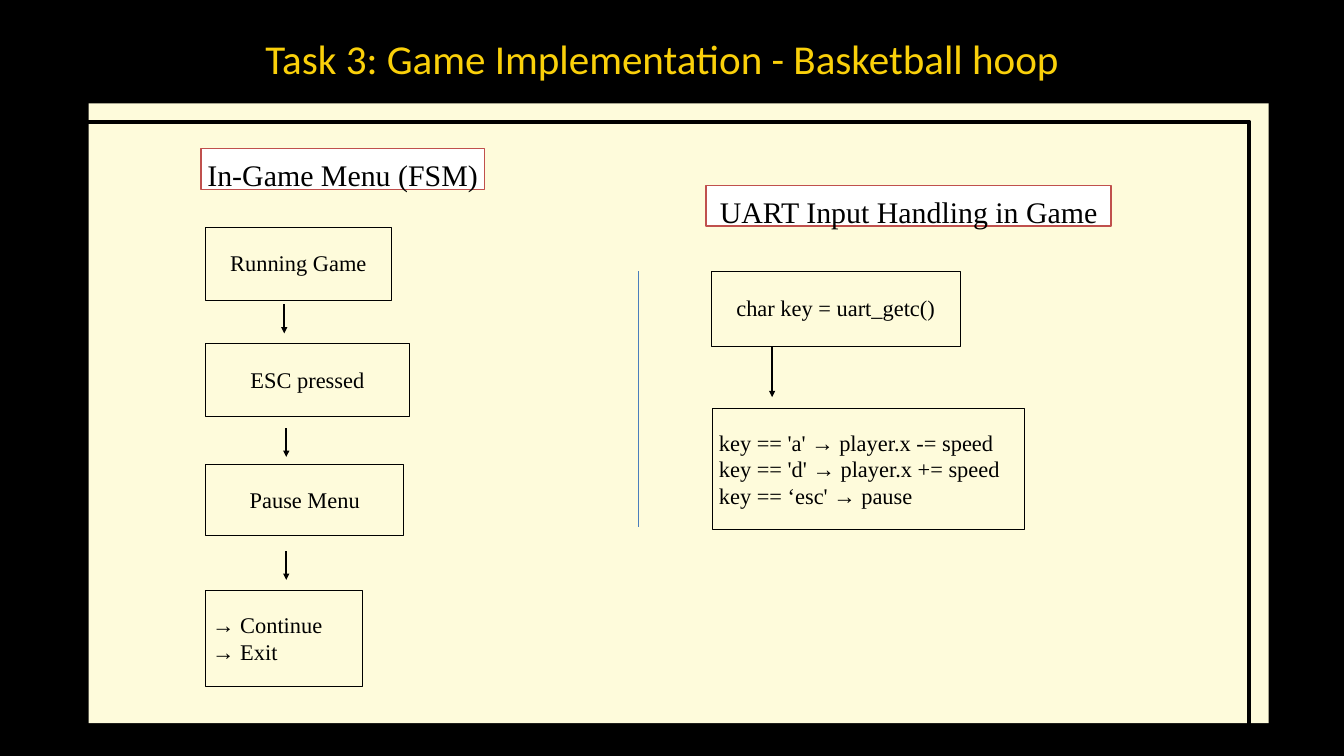
from lxml.etree import SubElement
from pptx import Presentation
from pptx.dml.color import RGBColor
from pptx.enum.shapes import MSO_CONNECTOR, MSO_SHAPE
from pptx.enum.text import MSO_ANCHOR, MSO_AUTO_SIZE, PP_ALIGN
from pptx.oxml.ns import qn
from pptx.util import Inches, Pt

BLACK = RGBColor(0x00, 0x00, 0x00)
WHITE = RGBColor(0xFF, 0xFF, 0xFF)
GOLD = RGBColor(0xFA, 0xD0, 0x0A)
CREAM = RGBColor(0xFE, 0xFB, 0xDB)
RED = RGBColor(0xC0, 0x50, 0x4D)
BLUE = RGBColor(0x4B, 0x7E, 0xBC)
COLUMNS, ROWS = 20, 11.25
MENU_LEFT = 3.06


class SlideBuilder:
    """Draws styled elements on one slide, measured in grid columns and rows."""

    def __init__(self, presentation):
        presentation.slide_width, presentation.slide_height = Inches(20), Inches(11.25)
        self.column = presentation.slide_width / COLUMNS
        self.row = presentation.slide_height / ROWS
        self.slide = presentation.slides.add_slide(presentation.slide_layouts[5])
        background = self.slide.background.fill
        background.solid()
        background.fore_color.rgb = BLACK

    def place(self, x, y, width, height):
        return [round(length * unit) for length, unit in
                zip((x, y, width, height), (self.column, self.row) * 2)]

    def set_text(self, shape, text, size, font="Times New Roman", color=BLACK,
                 align=PP_ALIGN.CENTER, spacing=None, **frame_format):
        frame = shape.text_frame
        frame_format = {"word_wrap": True, "auto_size": MSO_AUTO_SIZE.NONE, **frame_format}
        for name, value in frame_format.items():
            setattr(frame, name, value)
        frame.text = text
        for paragraph in frame.paragraphs:
            paragraph.alignment = align
            if spacing:
                paragraph.line_spacing = Pt(spacing)
            for run in paragraph.runs:
                for name, value in {"name": font, "size": Pt(size)}.items():
                    setattr(run.font, name, value)
                run.font.color.rgb = color

    def set_flush_text(self, shape, text, size, **style):
        margins = {f"margin_{side}": 0 for side in ("left", "top", "right", "bottom")}
        self.set_text(shape, text, size, vertical_anchor=MSO_ANCHOR.TOP, **margins, **style)

    def title(self, text, *area):
        shape = self.slide.shapes.title
        for name, value in zip(("left", "top", "width", "height"), self.place(*area)):
            setattr(shape, name, value)
        self.set_flush_text(shape, text, 44, font="Calibri", color=GOLD, spacing=55.8)

    def rectangle(self, area, fill=None, line=None, weight=1):
        shape = self.slide.shapes.add_shape(MSO_SHAPE.RECTANGLE, *self.place(*area))
        shape.shadow.inherit = False
        if fill is None:
            shape.fill.background()
        else:
            shape.fill.solid()
            shape.fill.fore_color.rgb = fill
        if line is None:
            shape.line.fill.background()
        else:
            shape.line.color.rgb = line
            shape.line.width = Pt(weight)
        return shape

    def heading(self, text, *area):
        shape = self.rectangle(area, WHITE, RED, 2)
        self.set_flush_text(shape, text, 32, spacing=46.7)

    def step(self, text, *area, align=PP_ALIGN.CENTER, spacing=None):
        shape = self.rectangle(area, line=BLACK)
        self.set_text(shape, text, 24, align=align, spacing=spacing,
                      vertical_anchor=MSO_ANCHOR.MIDDLE)

    def vertical_line(self, x, top, length, color, weight):
        left, start, _, height = self.place(x, top, 0, length)
        connector = self.slide.shapes.add_connector(
            MSO_CONNECTOR.STRAIGHT, left, start, left, start + height)
        connector.line.color.rgb = color
        connector.line.width = Pt(weight)
        properties = connector._element.spPr
        SubElement(properties, qn("a:effectLst"))
        return properties

    def arrow(self, x, top, length):
        properties = self.vertical_line(x, top, length, BLACK, 2.25)
        SubElement(properties.find(qn("a:ln")), qn("a:tailEnd"), type="triangle")


def main():
    presentation = Presentation()
    builder = SlideBuilder(presentation)
    builder.title("Task 3: Game Implementation - Basketball hoop", 0.59, 0.46, 18.54, 0.72)
    builder.rectangle((1.32, 1.54, 17.56, 9.22), fill=CREAM)
    builder.rectangle((1.12, 1.81, 17.47, 9.22), line=BLACK, weight=4.5)
    builder.vertical_line(9.5, 4.04, 3.8, BLUE, 0.75)

    builder.heading("In-Game Menu (FSM)", 2.99, 2.21, 4.22, 0.61)
    builder.step("Running Game", MENU_LEFT, 3.38, 2.76, 1.09, spacing=26.6)
    builder.step("ESC pressed", MENU_LEFT, 5.11, 3.03, 1.09)
    builder.step("Pause Menu", MENU_LEFT, 6.91, 2.95, 1.06)
    builder.step("→ Continue\n→ Exit", MENU_LEFT, 8.79, 2.34, 1.42, align=PP_ALIGN.LEFT)
    for x, top in ((4.23, 4.53), (4.26, 6.37), (4.26, 8.2)):
        builder.arrow(x, top, 0.43)

    builder.heading("UART Input Handling in Game", 10.51, 2.76, 6.03, 0.61)
    builder.step("char key = uart_getc()", 10.58, 4.04, 3.71, 1.11, spacing=26.6)
    builder.arrow(11.49, 5.15, 0.76)
    key_actions = ("key == 'a' → player.x -= speed",
                   "key == 'd' → player.x += speed",
                   "key == ‘esc' → pause")
    builder.step("\v".join(key_actions), 10.6, 6.08, 4.65, 1.8, align=PP_ALIGN.LEFT)
    presentation.save("out.pptx")


if __name__ == "__main__":
    main()
